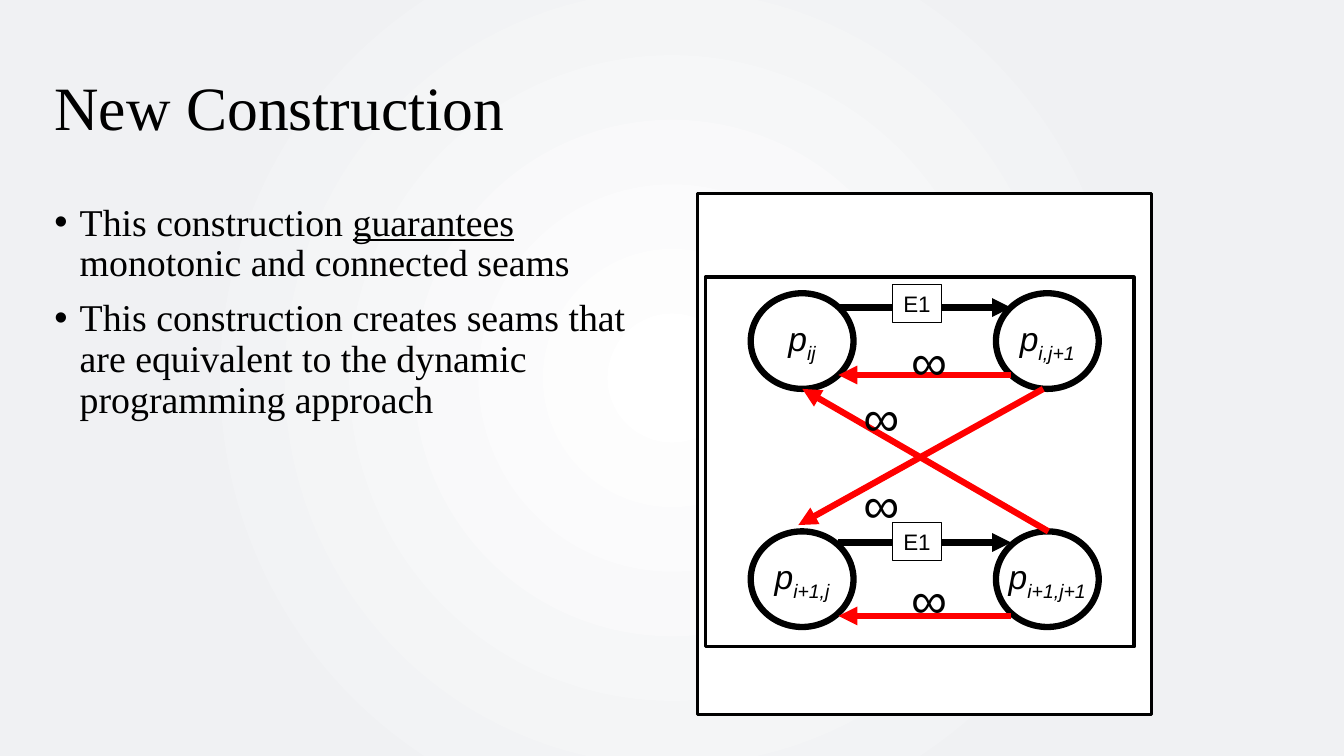
import pptx
import pptx.dml.color
import pptx.enum.shapes
import pptx.enum.text
import pptx.oxml
import pptx.oxml.ns
import pptx.util
from lxml import etree
from pptx.util import Cm

ALIGN = pptx.enum.text.PP_ALIGN
ANCHOR = pptx.enum.text.MSO_ANCHOR
SHAPE = pptx.enum.shapes.MSO_SHAPE
SERIF, SANS = "Times New Roman", "Arial"
BLACK, WHITE, RED = "000000", "FFFFFF", "FF0000"


def rgb(code):
    return pptx.dml.color.RGBColor.from_string(code)


def add_xml(parent, tag, **attrs):
    return etree.SubElement(parent, pptx.oxml.ns.qn(tag), attrs)


class Deck:
    def __init__(self, prs):
        self.s = prs.slides.add_slide(prs.slide_layouts[5])

    def font(self, font, name, size, italic=None):
        font.name, font.size, font.italic = name, pptx.util.Pt(size), italic
        font.color.rgb = rgb(BLACK)

    def background(self, inner, outer, reach):
        fill = self.s.background.fill
        fill.gradient()
        for stop, code, pos in zip(fill.gradient_stops, (inner, outer), (0, reach)):
            stop.color.rgb, stop.position = rgb(code), pos
        # Turn the linear gradient into a radial one
        grad = self.s.background._cSld.find(".//" + pptx.oxml.ns.qn("a:gradFill"))
        grad.remove(grad.find(pptx.oxml.ns.qn("a:lin")))
        path = add_xml(grad, "a:path", path="circle")
        add_xml(path, "a:fillToRect", **dict.fromkeys("ltrb", "50000"))

    def title(self, text, x, y, w, h):
        sp = self.s.shapes.title
        sp.left, sp.top, sp.width, sp.height = Cm(x), Cm(y), Cm(w), Cm(h)
        tf = sp.text_frame
        tf.text = text
        tf.vertical_anchor = ANCHOR.MIDDLE
        p = tf.paragraphs[0]
        p.alignment, p.line_spacing = ALIGN.LEFT, 0.9
        self.font(p.runs[0].font, SERIF, 44)

    def bullets(self, items, x, y, w, h):
        """Each item is a list of (text, underlined) pairs."""
        tf = self.s.shapes.add_textbox(Cm(x), Cm(y), Cm(w), Cm(h)).text_frame
        tf.word_wrap = True
        for i, item in enumerate(items):
            p = tf.add_paragraph() if i else tf.paragraphs[0]
            pPr = p._p.get_or_add_pPr()
            pPr.set("marL", str(Cm(0.64)))
            pPr.set("indent", str(-Cm(0.64)))
            add_xml(pPr, "a:buFont", typeface=SANS)
            add_xml(pPr, "a:buChar", char="•")
            p.line_spacing = 0.9
            p.space_before = pptx.util.Pt(10 if i else 0)
            for text, underlined in item:
                r = p.add_run()
                r.text = text
                self.font(r.font, SERIF, 27)
                r.font.underline = underlined

    def shape(self, kind, x, y, w, h, line, fill=None):
        sp = self.s.shapes.add_shape(kind, Cm(x), Cm(y), Cm(w), Cm(h))
        sp.shadow.inherit = False
        if fill:
            sp.fill.solid()
            sp.fill.fore_color.rgb = rgb(fill)
        else:
            sp.fill.background()
        sp.line.color.rgb, sp.line.width = rgb(BLACK), pptx.util.Pt(line)
        return sp

    def label(self, sp, text, size, sub="", italic=None):
        tf = sp.text_frame
        tf.word_wrap = False
        tf.vertical_anchor = ANCHOR.MIDDLE
        tf.text = text
        p = tf.paragraphs[0]
        p.alignment = ALIGN.CENTER
        if sub:
            r = p.add_run()
            r.text = sub
            r._r.get_or_add_rPr().set("baseline", "-25000")
        for r in p.runs:
            self.font(r.font, SANS, size, italic)

    def node(self, sub, x, y):
        sp = self.shape(SHAPE.OVAL, x, y, 2.59, 2.41, 4.5)
        self.label(sp, "p", 24, sub, italic=True)

    def infinity(self, x, y):
        sp = self.s.shapes.add_textbox(Cm(x), Cm(y), Cm(1.4), Cm(1.78))
        self.label(sp, "∞", 36)

    def arrow(self, x1, y1, x2, y2, color):
        c = self.s.shapes.add_connector(
            pptx.enum.shapes.MSO_CONNECTOR.STRAIGHT, Cm(x1), Cm(y1), Cm(x2), Cm(y2))
        c.line.color.rgb, c.line.width = rgb(color), pptx.util.Pt(4.5)
        add_xml(c.line._get_or_add_ln(), "a:tailEnd", type="triangle")
        add_xml(c._element.spPr, "a:effectLst")


def main():
    prs = pptx.Presentation()
    prs.slide_width, prs.slide_height = Cm(33.87), Cm(19.05)
    d = Deck(prs)
    d.background(WHITE, "F0F1F3", 0.67)

    # Title and text
    d.title("New Construction", 1.12, 1.09, 31.12, 3.38)
    d.bullets([
        [("This construction ", False), ("guarantees", True),
         (" monotonic and connected seams", False)],
        [("This construction creates seams that are equivalent to the "
          "dynamic programming approach", False)],
    ], 1.12, 5, 15.29, 13.41)

    # Frames
    d.shape(SHAPE.RECTANGLE, 17.58, 4.88, 11.43, 13.13, 2.25, WHITE)
    d.shape(SHAPE.RECTANGLE, 17.78, 6.98, 10.8, 9.32, 2.25, WHITE)

    # Two rows of nodes, each with a forward and a backward edge
    rows = [(7.39, 7.75, 9.45, "ij", "i,j+1"),
            (13.39, 13.67, 15.52, "i+1,j", "i+1,j+1")]
    for top, forward, backward, left_sub, right_sub in rows:
        d.node(left_sub, 18.92, top)
        d.node(right_sub, 25.1, top)
        d.arrow(21.13, forward, 25.48, forward, BLACK)
        d.arrow(25.48, backward, 21.13, backward, RED)
        d.infinity(22.71, top + 0.81)

    # Diagonal edges
    d.arrow(26.29, 9.8, 20.12, 13.23, RED)
    d.arrow(26.42, 13.39, 20.22, 9.8, RED)
    for y in (9.6, 11.79):
        d.infinity(21.51, y)

    # Forward edge costs
    for top, *_ in rows:
        box = d.shape(SHAPE.RECTANGLE, 22.5, top - 0.23, 1.22, 0.97, 0.75, WHITE)
        d.label(box, "E1", 16)

    prs.save("out.pptx")


if __name__ == "__main__":
    main()
